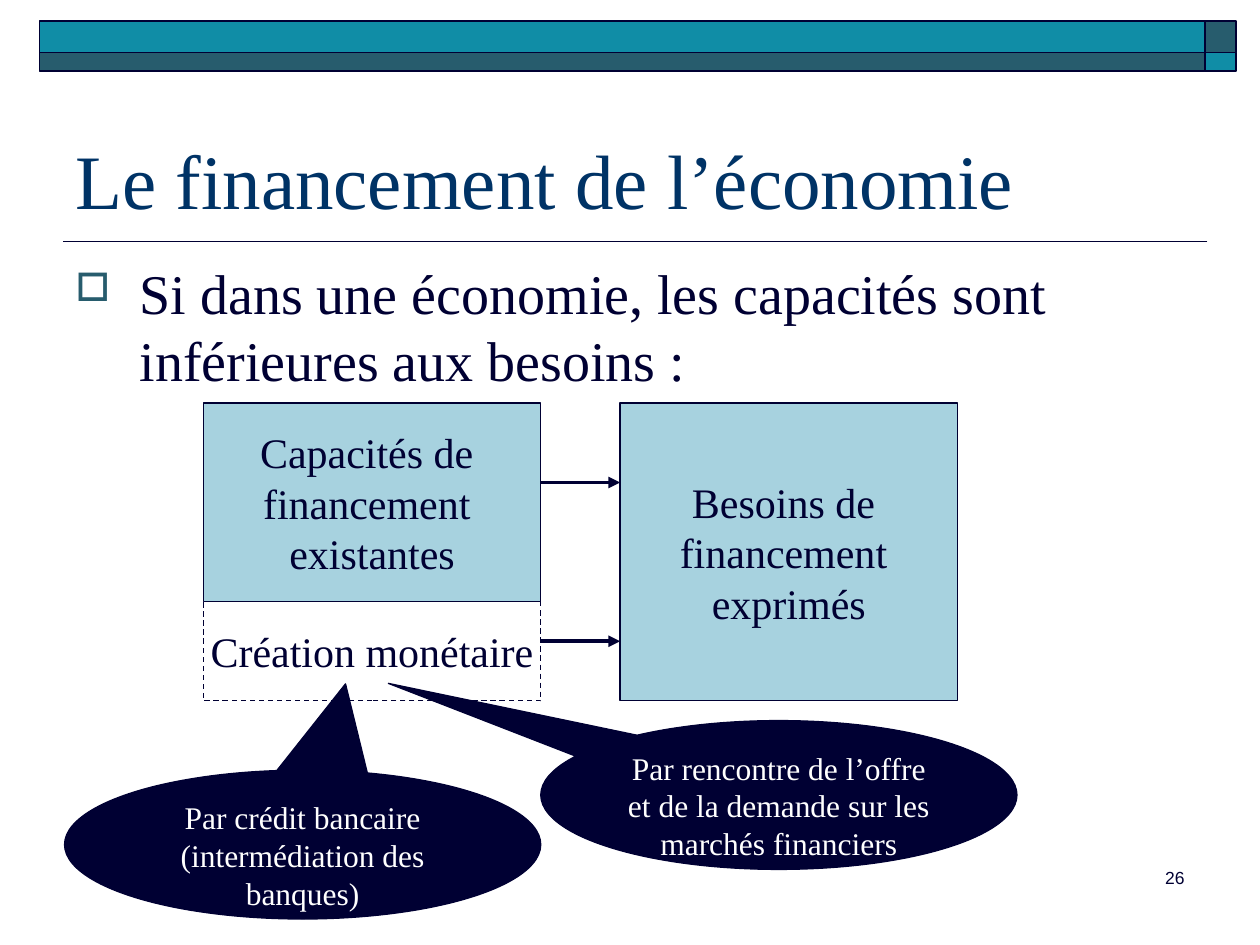
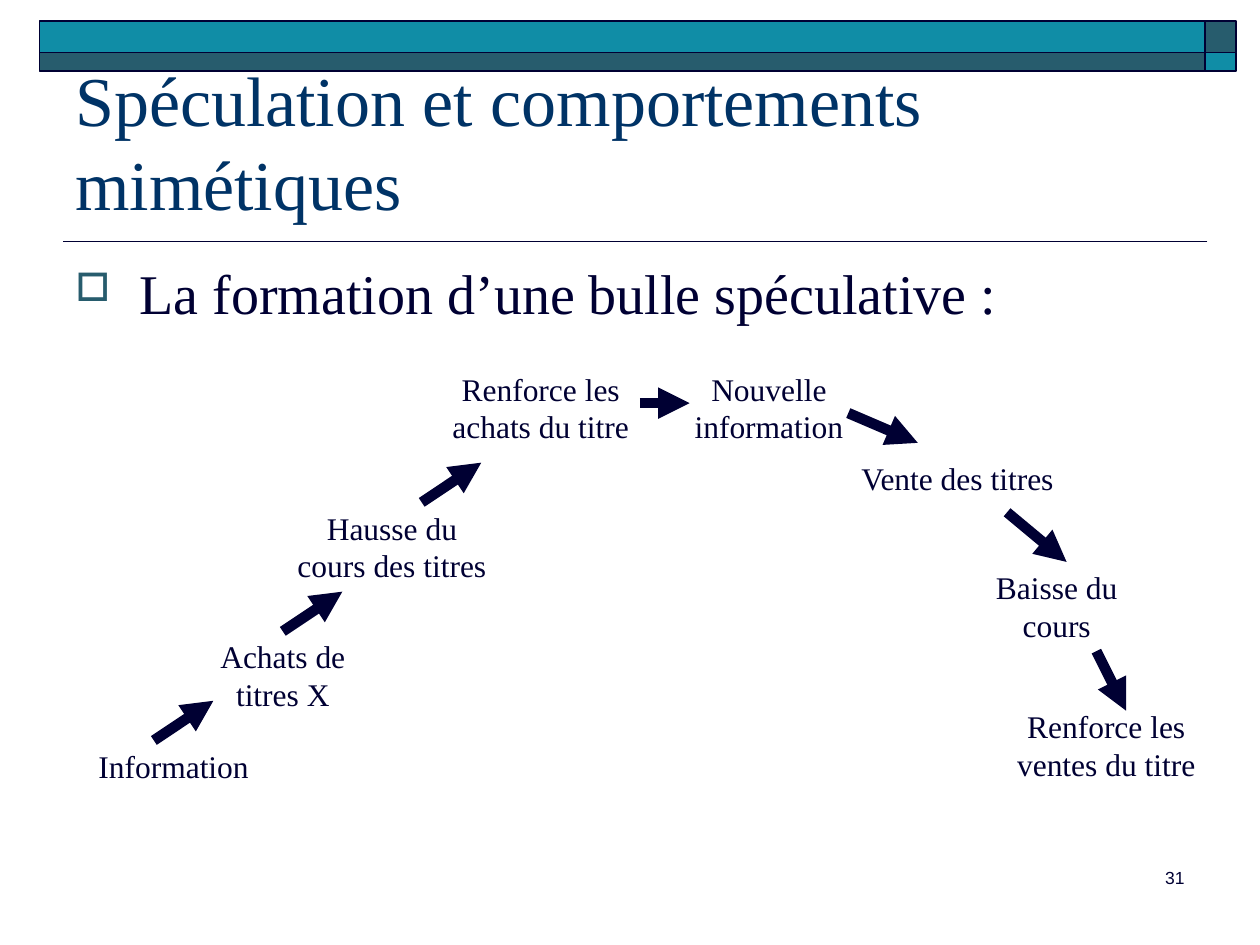
from dataclasses import dataclass

from lxml.etree import SubElement
from pptx import Presentation
from pptx.dml.color import RGBColor
from pptx.enum.dml import MSO_LINE
from pptx.enum.shapes import MSO_CONNECTOR, MSO_SHAPE
from pptx.enum.text import MSO_ANCHOR, PP_ALIGN
from pptx.oxml.ns import qn
from pptx.shapes.autoshape import Shape
from pptx.slide import Slide
from pptx.util import Emu, Inches, Mm, Pt

NAVY = RGBColor(0x00, 0x00, 0x33)
TITLE_BLUE = RGBColor(0x00, 0x33, 0x66)
TEAL = RGBColor(0x10, 0x8D, 0xA6)
DARK_TEAL = RGBColor(0x27, 0x5C, 0x6D)
PALE_BLUE = RGBColor(0xA7, 0xD2, 0xDF)
WHITE = RGBColor(0xFF, 0xFF, 0xFF)
SERIF = "Times New Roman"
SANS = "Arial"


@dataclass(frozen=True)
class Grid:
    step: Emu
    left: Emu = Emu(0)
    top: Emu = Emu(0)

    def point(self, column: float, row: float) -> tuple[Emu, Emu]:
        return Emu(int(self.left + column * self.step)), Emu(int(self.top + row * self.step))

    def box(self, column: float, row: float, columns: float, rows: float) -> tuple[Emu, ...]:
        size = Emu(int(columns * self.step)), Emu(int(rows * self.step))
        return self.point(column, row) + size


FRAME = Grid(Emu(Inches(1) // 12))
DIAGRAM = Grid(Mm(2), Inches(0.04), Inches(0.05))


@dataclass(frozen=True)
class TextStyle:
    size: float
    color: RGBColor = NAVY
    font: str = SERIF
    align: PP_ALIGN = PP_ALIGN.CENTER
    anchor: MSO_ANCHOR = MSO_ANCHOR.TOP
    wrap: bool = True


@dataclass(frozen=True)
class Band:
    place: tuple[float, float, float, float]
    fill: RGBColor


@dataclass(frozen=True)
class Block:
    text: str
    place: tuple[float, float, float, float]
    fill: RGBColor | None = PALE_BLUE


@dataclass(frozen=True)
class Callout:
    text: str
    column: float
    row: float
    tip: tuple[float, float]


@dataclass(frozen=True)
class Step:
    text: str
    column: float
    row: float
    rows: float = 9


@dataclass(frozen=True)
class Arrow:
    start: tuple[float, float]
    end: tuple[float, float]


NUMBER_STYLE = TextStyle(10, font=SANS, align=PP_ALIGN.RIGHT)
BODY_STYLE = TextStyle(32, align=PP_ALIGN.LEFT)
BLOCK_STYLE = TextStyle(24, anchor=MSO_ANCHOR.MIDDLE, wrap=False)
CALLOUT_STYLE = TextStyle(18, WHITE)
STEP_STYLE = TextStyle(18)

BANDS = (
    Band((114.75, 2, 3, 3), DARK_TEAL),
    Band((3.75, 2, 111, 3), TEAL),
    Band((3.75, 5, 111, 1.8), DARK_TEAL),
    Band((114.75, 5, 3, 1.8), TEAL),
)
BLOCKS = (
    Block("Capacités de \nfinancement \nexistantes", (20, 40, 34, 20)),
    Block("Besoins de \nfinancement \nexprimés", (62, 40, 34, 30)),
    Block("Création monétaire", (20, 60, 34, 10), None),
)
FUNDING_ARROWS = tuple(Arrow((54, row), (62, row)) for row in (48, 64))
CALLOUTS = (
    Callout("Par crédit bancaire\n(intermédiation des banques)", 6, 77, (0.09, -1.08)),
    Callout(
        "Par rencontre de l’offre et de la demande sur les marchés financiers",
        54, 72, (-0.82, -0.75),
    ),
)
STEPS = (
    Step("Information", 6, 74, 5),
    Step("Achats de titres X", 17, 63),
    Step("Hausse du cours des titres", 28, 50),
    Step("Renforce les achats du titre", 43, 36),
    Step("Nouvelle information", 66, 36),
    Step("Vente des titres", 85, 45),
    Step("Baisse du cours", 95, 56),
    Step("Renforce les ventes du titre", 100, 70),
)
BUBBLE_ARROWS = (
    Arrow((15, 74), (21, 70)),
    Arrow((28, 63), (34, 59)),
    Arrow((42, 50), (48, 46)),
    Arrow((64, 40), (69, 40)),
    Arrow((85, 41), (92, 44)),
    Arrow((101, 51), (107, 56)),
    Arrow((110, 65), (113, 71)),
)


def write(box: Shape, text: str, style: TextStyle) -> None:
    frame = box.text_frame
    frame.text = text
    frame.word_wrap = style.wrap
    frame.vertical_anchor = style.anchor
    for para in frame.paragraphs:
        para.alignment = style.align
        for span in para.runs:
            span.font.size = Pt(style.size)
            span.font.name = style.font
            span.font.color.rgb = style.color


def add_text(page: Slide, place: tuple[Emu, ...], text: str, style: TextStyle) -> Shape:
    box = page.shapes.add_textbox(*place)
    write(box, text, style)
    return box


def add_filled(
    page: Slide,
    kind: MSO_SHAPE,
    place: tuple[Emu, ...],
    fill: RGBColor | None,
    line_width: float,
) -> Shape:
    shape = page.shapes.add_shape(kind, *place)
    shape.shadow.inherit = False
    if fill is None:
        shape.fill.background()
    else:
        shape.fill.solid()
        shape.fill.fore_color.rgb = fill
    shape.line.color.rgb = NAVY
    shape.line.width = Pt(line_width)
    return shape


def add_line(page: Slide, grid: Grid, route: Arrow, width: float, head: bool = True) -> None:
    line = page.shapes.add_connector(
        MSO_CONNECTOR.STRAIGHT, *grid.point(*route.start), *grid.point(*route.end)
    )
    line.line.color.rgb = NAVY
    line.line.width = Pt(width)
    if head:
        SubElement(line.line._get_or_add_ln(), qn("a:tailEnd"), type="triangle")
    SubElement(line._element.spPr, qn("a:effectLst"))


def add_bullet(box: Shape) -> None:
    properties = box.text_frame.paragraphs[0]._p.get_or_add_pPr()
    indent = Inches(0.51)
    properties.set("marL", str(indent))
    properties.set("indent", str(-indent))
    color = SubElement(properties, qn("a:buClr"))
    SubElement(color, qn("a:srgbClr"), val=str(DARK_TEAL))
    SubElement(properties, qn("a:buSzPct"), val="70000")
    SubElement(properties, qn("a:buChar"), char="□")


def add_page(
    deck: Presentation, number: str, title: str, title_size: float, body: str, body_rows: float
) -> Slide:
    page = deck.slides.add_slide(deck.slide_layouts[6])
    add_line(page, FRAME, Arrow((115, 23), (6, 23)), 1, head=False)
    for band in BANDS:
        add_filled(page, MSO_SHAPE.RECTANGLE, FRAME.box(*band.place), band.fill, 1)
    add_text(page, FRAME.box(89, 82, 25, 6), number, NUMBER_STYLE)
    title_style = TextStyle(
        title_size, TITLE_BLUE, align=PP_ALIGN.LEFT, anchor=MSO_ANCHOR.BOTTOM
    )
    add_text(page, FRAME.box(6, 7, 108, 15), title, title_style)
    add_bullet(add_text(page, FRAME.box(6, 24, 108, body_rows), body, BODY_STYLE))
    return page


def draw_financing(deck: Presentation) -> None:
    page = add_page(
        deck, "26", "Le financement de l’économie", 44,
        "Si dans une économie, les capacités sont inférieures aux besoins :", 15.4,
    )
    for block in BLOCKS:
        place = DIAGRAM.box(*block.place)
        shape = add_filled(page, MSO_SHAPE.RECTANGLE, place, block.fill, 0.75)
        if block.fill is None:
            shape.line.dash_style = MSO_LINE.DASH
        write(shape, block.text, BLOCK_STYLE)
    for arrow in FUNDING_ARROWS:
        add_line(page, DIAGRAM, arrow, 2.25)
    for callout in CALLOUTS:
        place = DIAGRAM.box(callout.column, callout.row, 48, 15)
        shape = add_filled(page, MSO_SHAPE.OVAL_CALLOUT, place, NAVY, 0.75)
        for index, share in enumerate(callout.tip):
            shape.adjustments[index] = share
        write(shape, callout.text, CALLOUT_STYLE)


def draw_bubble(deck: Presentation) -> None:
    page = add_page(
        deck, "31", "Spéculation et comportements mimétiques", 40,
        "La formation d’une bulle spéculative :", 9.7,
    )
    for step in STEPS:
        add_text(page, DIAGRAM.box(step.column, step.row, 22, step.rows), step.text, STEP_STYLE)
    for arrow in BUBBLE_ARROWS:
        add_line(page, DIAGRAM, arrow, 6)


def main() -> None:
    deck = Presentation()
    deck.slide_width = Inches(10)
    deck.slide_height = Inches(7.5)
    draw_financing(deck)
    draw_bubble(deck)
    deck.save("out.pptx")


if __name__ == "__main__":
    main()
